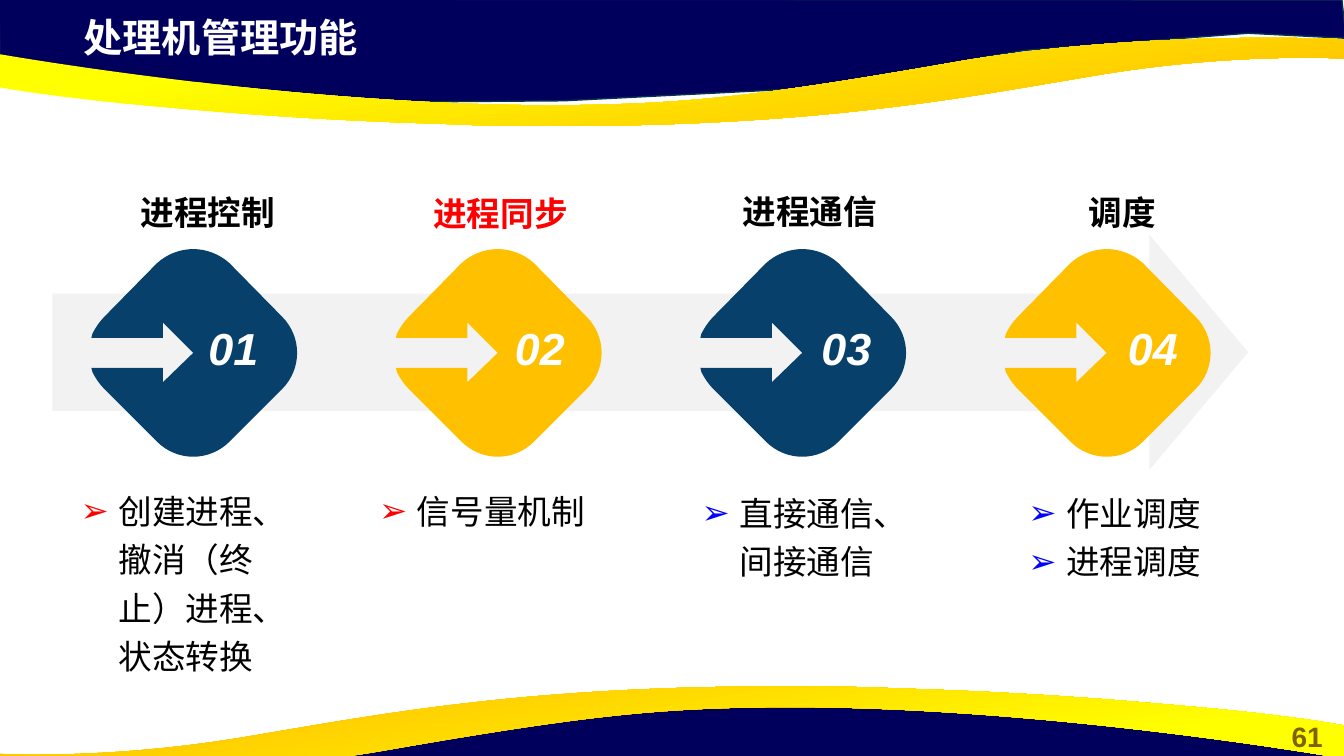
import math
from dataclasses import dataclass
from typing import Any

import lxml.etree
import pptx
import pptx.dml.color
import pptx.enum.shapes
import pptx.enum.text
import pptx.oxml.ns
import pptx.util

Inches = pptx.util.Inches
Pt = pptx.util.Pt
RGBColor = pptx.dml.color.RGBColor
Align = pptx.enum.text.PP_ALIGN
Anchor = pptx.enum.text.MSO_ANCHOR
qn = pptx.oxml.ns.qn

NAVY = RGBColor(0x00, 0x00, 0x5C)
NAVY_EDGE = RGBColor(0x05, 0x30, 0x4F)
AMBER = RGBColor(0xFF, 0xC0, 0x00)
YELLOW = RGBColor(0xFF, 0xFF, 0x00)
STEEL = RGBColor(0x07, 0x41, 0x6B)
PALE = RGBColor(0xF2, 0xF2, 0xF2)
OLIVE = RGBColor(0x80, 0x60, 0x00)
WHITE = RGBColor(0xFF, 0xFF, 0xFF)
BLACK = RGBColor(0x00, 0x00, 0x00)
RED = RGBColor(0xFF, 0x00, 0x00)
BLUE = RGBColor(0x00, 0x00, 0xFF)

Box = tuple[float, float, float, float]
# A pair is a straight step, six numbers are a Bezier curve step
Outline = list[tuple[float, ...]]

HEADER_BAR: Outline = [
    (-0.01, -0.01), (0, 0.7), (2.93, 1.02), (5.59, 1), (7.95, 0.88),
    (10.16, 0.5), (12.38, 0.33), (13.35, 0.38), (13.31, 0),
]
HEADER_WAVE: Outline = [
    (5.57, 1.25), (5.21, 1.25, 4.82, 1.25, 4.41, 1.23),
    (3.04, 1.19, 2.17, 1.11, 1.49, 1.05), (0.37, 0.95, -0.02, 0.86, -0.05, 0.86),
    (-0.05, 0.53, -0.05, 0.53, -0.05, 0.53), (-0.05, 0.53, 3.15, 1.1, 5.88, 1.04),
    (6.88, 1.02, 7.63, 0.94, 9.51, 0.61), (11.39, 0.29, 13.33, 0.39, 13.33, 0.39),
    (13.33, 0.43), (13.33, 0.58), (13.3, 0.58),
    (13.07, 0.57, 12.07, 0.54, 10.8, 0.76), (9.55, 0.97, 8.12, 1.25, 5.57, 1.25),
]
BADGE: Outline = [
    (1.92, 2.47), (2.05, 2.47, 2.18, 2.52, 2.28, 2.61), (2.8, 3.14),
    (3, 3.34, 3, 3.66, 2.8, 3.86), (2.28, 4.38),
    (2.08, 4.58, 1.76, 4.58, 1.56, 4.38), (1.04, 3.86),
    (0.99, 3.81, 0.95, 3.75, 0.92, 3.69), (0.91, 3.65), (1.62, 3.65),
    (1.62, 3.79), (1.92, 3.5), (1.62, 3.2), (1.62, 3.35), (0.91, 3.35),
    (0.92, 3.31), (0.95, 3.25, 0.99, 3.19, 1.04, 3.14), (1.56, 2.61),
    (1.66, 2.52, 1.79, 2.47, 1.92, 2.47),
]
BADGE_CENTER = (1.92, 3.5)
BADGE_TILT = 45
BADGE_PITCH = 3.02
NUMBER_PITCH = 3.04
BULLET_INDENT = Pt(27)


@dataclass(frozen=True)
class Function:
    heading: str
    heading_box: Box
    heading_color: RGBColor
    badge_color: RGBColor
    items: tuple[str, ...]
    items_box: Box
    bullet_color: RGBColor


FUNCTIONS = [
    Function("进程控制", (0.59, 1.85, 2.94, 0.43), BLACK, STEEL,
             ("创建进程、撤消（终止）进程、状态转换",), (0.7, 4.74, 2.5, 1.6), RED),
    Function("进程同步", (3.15, 1.83, 3.63, 0.43), RED, AMBER,
             ("信号量机制",), (3.66, 4.74, 2.49, 0.94), RED),
    Function("进程通信", (6.74, 1.84, 2.58, 0.43), BLACK, STEEL,
             ("直接通信、间接通信",), (6.86, 4.76, 2.21, 0.58), BLUE),
    Function("调度", (9.44, 1.85, 3.38, 0.43), BLACK, AMBER,
             ("作业调度", "进程调度"), (10.1, 4.76, 2.59, 0.91), BLUE),
]


def apply_format(target: Any, values: dict[str, Any]) -> None:
    for attribute, value in values.items():
        setattr(target, attribute, value)


def turn(outline: Outline, center: tuple[float, float], degrees: float) -> Outline:
    cos, sin = math.cos(math.radians(degrees)), math.sin(math.radians(degrees))
    turned = []
    for step in outline:
        numbers = []
        for x, y in zip(step[::2], step[1::2]):
            dx, dy = x - center[0], y - center[1]
            numbers += [center[0] + dx * cos - dy * sin, center[1] + dx * sin + dy * cos]
        turned.append(tuple(numbers))
    return turned


def draw_outline(slide: Any, outline: Outline) -> Any:
    ends = [(Inches(step[-2]), Inches(step[-1])) for step in outline]
    builder = slide.shapes.build_freeform(*ends[0])
    builder.add_line_segments(ends[1:], close=True)
    drawn = builder.convert_to_shape()
    # Bend the straight segments that stand for curves
    segments = list(drawn._element.iter(qn("a:lnTo")))
    for segment, step in zip(segments, outline[1:]):
        if len(step) == 6:
            curve = lxml.etree.SubElement(segment.getparent(), qn("a:cubicBezTo"))
            for x, y in zip(step[::2], step[1::2]):
                lxml.etree.SubElement(curve, qn("a:pt"), x=str(Inches(x) - drawn.left),
                                      y=str(Inches(y) - drawn.top))
            segment.getparent().replace(segment, curve)
    drawn.shadow.inherit = False
    drawn.line.fill.background()
    return drawn


def paint(shape: Any, color: RGBColor) -> None:
    shape.fill.solid()
    shape.fill.fore_color.rgb = color


def draw_bar(slide: Any) -> Any:
    bar = draw_outline(slide, HEADER_BAR)
    paint(bar, NAVY)
    bar.line.color.rgb = NAVY_EDGE
    bar.line.width = Pt(1)
    return bar


def draw_wave(slide: Any, outline: Outline, stops: list[tuple[float, RGBColor]]) -> None:
    fill = draw_outline(slide, outline).fill
    fill.gradient()
    fill.gradient_angle = 280
    for stop, (position, color) in zip(fill.gradient_stops, stops):
        stop.position = position
        stop.color.rgb = color


def add_bullet(paragraph: Any, color: RGBColor) -> None:
    properties = paragraph._p.get_or_add_pPr()
    properties.set("marL", str(BULLET_INDENT))
    properties.set("indent", str(-BULLET_INDENT))
    bullet_color = lxml.etree.SubElement(properties, qn("a:buClr"))
    lxml.etree.SubElement(bullet_color, qn("a:srgbClr"), val=str(color))
    lxml.etree.SubElement(properties, qn("a:buFont"), typeface="Arial")
    lxml.etree.SubElement(properties, qn("a:buChar"), char="➢")


def write(holder: Any, box: Box, lines: tuple[str, ...], color: RGBColor, size: int,
          bold: bool = True, italic: bool = False, align: Any = Align.CENTER,
          anchor: Any = Anchor.TOP, spacing: float = 1.0,
          bullet: RGBColor | None = None) -> None:
    apply_format(holder, dict(zip(("left", "top", "width", "height"), map(Inches, box))))
    frame = holder.text_frame
    apply_format(frame, {"word_wrap": True, "vertical_anchor": anchor,
                         "auto_size": pptx.enum.text.MSO_AUTO_SIZE.NONE})
    for i, line in enumerate(lines):
        paragraph = frame.add_paragraph() if i else frame.paragraphs[0]
        if bullet is not None:
            add_bullet(paragraph, bullet)
        apply_format(paragraph, {"alignment": align, "line_spacing": spacing,
                                 "space_before": Pt(0)})
        run = paragraph.add_run()
        run.text = line
        apply_format(run.font, {"name": "Arial", "size": Pt(size),
                                "bold": bold, "italic": italic})
        run.font.color.rgb = color


def main() -> None:
    deck = pptx.Presentation()
    deck.slide_width, deck.slide_height = Inches(13.33), Inches(7.5)
    slide = deck.slides.add_slide(deck.slide_layouts[4])
    title, *lists = list(slide.placeholders)

    # Header and footer bands
    draw_bar(slide)
    draw_wave(slide, HEADER_WAVE, [(0.22, YELLOW), (0.89, AMBER)])
    apply_format(draw_bar(slide), {"left": Inches(-0.03), "top": Inches(6.91),
                                   "rotation": 180})
    draw_wave(slide, turn(HEADER_WAVE, (6.65, 4.03), 180), [(0.11, AMBER), (0.78, YELLOW)])

    # Bring the title and lists in front of the bands
    for placeholder in (title, *lists):
        slide.shapes._spTree.append(placeholder._element)

    def label(box: Box, text: str, color: RGBColor, size: int, **options: Any) -> None:
        holder = slide.shapes.add_textbox(*map(Inches, box))
        write(holder, box, (text,), color, size, **options)

    write(title, (0.73, 0.08, 7.68, 0.57), ("处理机管理功能",), WHITE, 28, align=Align.LEFT)
    label((12.6, 7.09, 0.73, 0.44), "61", OLIVE, 20)

    # Arrow behind the four functions
    timeline = slide.shapes.add_shape(pptx.enum.shapes.MSO_SHAPE.RIGHT_ARROW,
                                      *map(Inches, (0.52, 2.33, 11.86, 2.33)))
    timeline.adjustments[0], timeline.adjustments[1] = 0.5, 0.42
    timeline.shadow.inherit = False
    timeline.line.fill.background()
    paint(timeline, PALE)

    # Heading, numbered badge and list of each function
    upright_badge = turn(BADGE, BADGE_CENTER, -BADGE_TILT)
    for i, (function, items) in enumerate(zip(FUNCTIONS, lists)):
        badge = draw_outline(slide, upright_badge)
        apply_format(badge, {"left": badge.left + Inches(i * BADGE_PITCH),
                             "rotation": BADGE_TILT})
        paint(badge, function.badge_color)
        label(function.heading_box, function.heading, function.heading_color, 24,
              spacing=1.1 if function.heading_color == RED else 1.0)
        label((1.93 + i * NUMBER_PITCH, 3.08, 0.77, 0.74), f"{i + 1:02}", WHITE, 32,
              italic=True, anchor=Anchor.MIDDLE)
        write(items, function.items_box, function.items, BLACK, 24, bold=False,
              align=Align.LEFT, spacing=1.2, bullet=function.bullet_color)

    deck.save("out.pptx")


if __name__ == "__main__":
    main()
